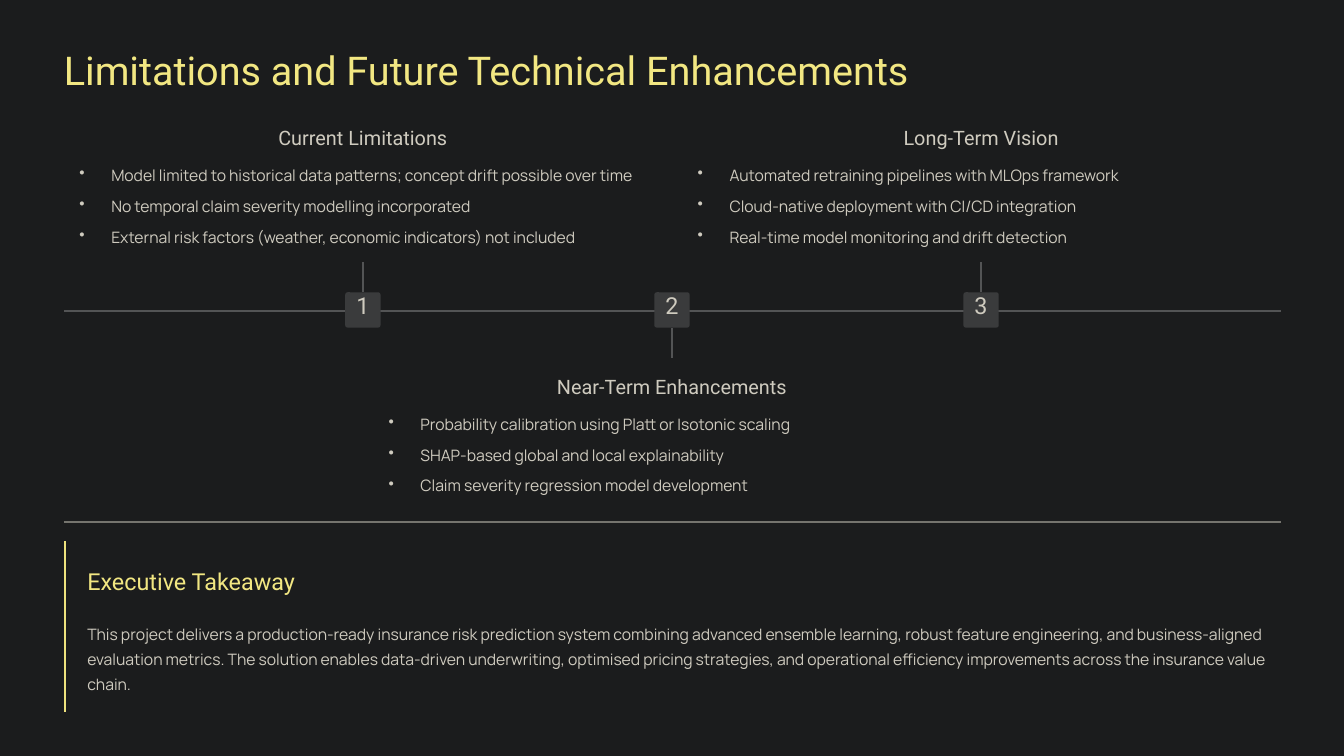
from lxml.etree import SubElement
from pptx import Presentation
from pptx.dml.color import RGBColor
from pptx.enum.shapes import MSO_CONNECTOR as Connector, MSO_SHAPE as Shape
from pptx.enum.text import MSO_ANCHOR as Anchor, PP_ALIGN as Align
from pptx.oxml.ns import qn
from pptx.util import Inches, Pt

WIDTH, HEIGHT = Inches(16), Inches(9)
LEFT, RIGHT, INNER = 4.75, 95.31, 6.5
AXIS, BADGE_CENTRE, BADGE_HEIGHT = 41.17, 41, 4.67
FIRST_CENTRE, CENTRE_STEP = 27, 23
COLORS = {
    "background": "1B1C1D",
    "yellow": "F2E782",
    "accent": "EEE27D",
    "text": "CFCBBF",
    "line": "535455",
    "badge": "3A3B3C",
    "divider": "75746E",
}
STAGES = [
    ("Current Limitations", [
        "Model limited to historical data patterns; concept drift possible over time",
        "No temporal claim severity modelling incorporated",
        "External risk factors (weather, economic indicators) not included",
    ]),
    ("Near-Term Enhancements", [
        "Probability calibration using Platt or Isotonic scaling",
        "SHAP-based global and local explainability",
        "Claim severity regression model development",
    ]),
    ("Long-Term Vision", [
        "Automated retraining pipelines with MLOps framework",
        "Cloud-native deployment with CI/CD integration",
        "Real-time model monitoring and drift detection",
    ]),
]
TAKEAWAY = (
    "This project delivers a production-ready insurance risk prediction system combining "
    "advanced ensemble learning, robust feature engineering, and business-aligned evaluation "
    "metrics. The solution enables data-driven underwriting, optimised pricing strategies, and "
    "operational efficiency improvements across the insurance value chain."
)


def across(percent):
    """Turn a percentage of the slide width into a length."""
    return int(WIDTH * percent / 100)


def down(percent):
    """Turn a percentage of the slide height into a length."""
    return int(HEIGHT * percent / 100)


def color(name):
    """Look up a named colour."""
    return RGBColor.from_string(COLORS[name])


def add_bullet(para):
    """Give a paragraph a hanging bullet."""
    properties = para._p.get_or_add_pPr()
    properties.set("marL", str(Inches(0.38)))
    properties.set("indent", str(-Inches(0.38)))
    SubElement(properties, qn("a:buChar")).set("char", "•")


def fill_text(shape, lines, size, spacing, font="Roboto", tint="text",
              align=Align.LEFT, bulleted=False):
    """Write lines of text into a shape without insets."""
    frame = shape.text_frame
    frame.word_wrap = True
    frame.vertical_anchor = Anchor.TOP
    frame.margin_left = frame.margin_right = frame.margin_top = frame.margin_bottom = 0
    frame.text = "\n".join(lines)
    for para in frame.paragraphs:
        para.alignment = align
        para.line_spacing = Pt(spacing)
        if bulleted:
            para.space_after = Pt(5)
            add_bullet(para)
        para.font.name = font
        para.font.size = Pt(size)
        para.font.color.rgb = color(tint)


def add_text(page, left, top, width, height, lines, size, spacing, **style):
    """Add a text box placed in percentages of the slide."""
    box = page.shapes.add_textbox(across(left), down(top), across(width), down(height))
    fill_text(box, lines, size, spacing, **style)


def add_line(page, start, end, tint):
    """Add a straight line between two points given in percentages."""
    line = page.shapes.add_connector(
        Connector.STRAIGHT, across(start[0]), down(start[1]), across(end[0]), down(end[1]))
    line.line.color.rgb = color(tint)
    line.line.width = Pt(2.16)
    SubElement(line._element.spPr, qn("a:effectLst"))
    return line


def add_badge(page, centre, number):
    """Add a numbered square on the timeline."""
    side = down(BADGE_HEIGHT)
    badge = page.shapes.add_shape(
        Shape.ROUNDED_RECTANGLE, across(centre) - side // 2,
        down(BADGE_CENTRE) - side // 2, side, side)
    badge.adjustments[0] = 0.07
    badge.shadow.inherit = False
    badge.fill.solid()
    badge.fill.fore_color.rgb = color("badge")
    badge.line.fill.background()
    fill_text(badge, [str(number)], 20, 20, align=Align.CENTER)
    badge.text_frame.margin_top = Inches(0.03)
    return badge


def add_stage(page, index, heading, points):
    """Add a timeline stage, alternately above and below the axis."""
    centre = FIRST_CENTRE + index * CENTRE_STEP
    above = index % 2 == 0
    stem_end, top = (34.67, 16.56) if above else (47.33, 49.44)
    badge = add_badge(page, centre, index + 1)
    stem = add_line(page, (centre, stem_end), (centre, BADGE_CENTRE), "line")
    stem.end_connect(badge, 0 if above else 2)
    add_text(page, centre - 10, top, 20, 3.33, [heading], 17, 21, align=Align.CENTER)
    add_text(page, centre - 21.09, top + 4.56, 42.19, 11.5, points, 13.5, 21.5,
             font="Manrope", bulleted=True)


def main():
    """Build and save the slide."""
    deck = Presentation()
    deck.slide_width, deck.slide_height = WIDTH, HEIGHT
    page = deck.slides.add_slide(deck.slide_layouts[6])
    page.background.fill.solid()
    page.background.fill.fore_color.rgb = color("background")

    add_text(page, LEFT, 5.78, RIGHT - LEFT, 6.56,
             ["Limitations and Future Technical Enhancements"], 34, 42.5, tint="yellow")
    add_line(page, (LEFT, AXIS), (RIGHT, AXIS), "line")
    for index, (heading, points) in enumerate(STAGES):
        add_stage(page, index, heading, points)

    add_line(page, (LEFT, 69.06), (RIGHT, 69.06), "divider")
    add_line(page, (4.84, 71.56), (4.84, 94.22), "accent")
    add_text(page, INNER, 74.78, 30, 3.89, ["Executive Takeaway"], 20, 25.5, tint="yellow")
    add_text(page, INNER, 81.78, RIGHT - INNER, 10.11, [TAKEAWAY], 13.5, 21.5,
             font="Manrope")
    deck.save("out.pptx")


if __name__ == "__main__":
    main()
